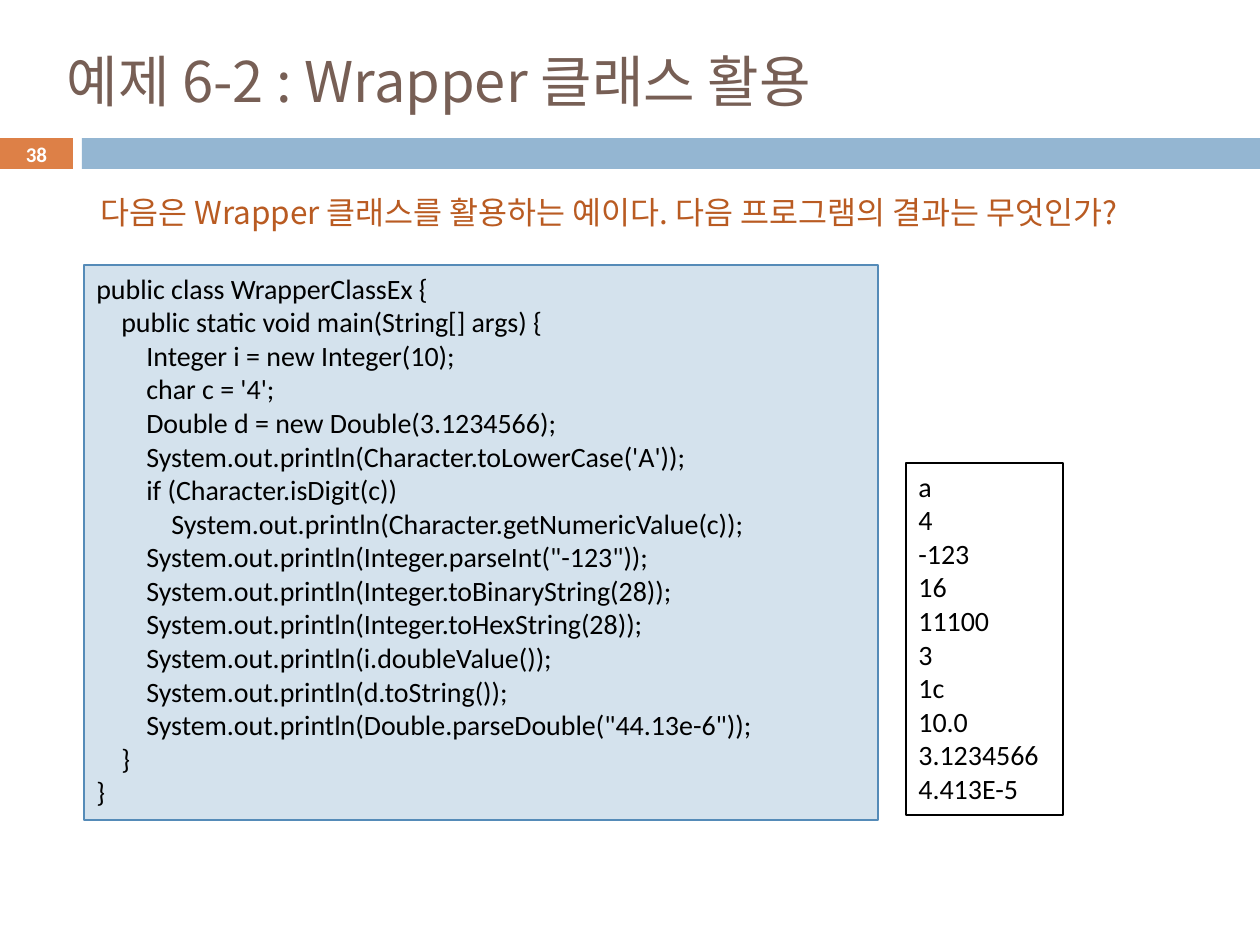
from typing import NamedTuple, Optional

from lxml import etree
from pptx import Presentation
from pptx import util as u
from pptx.dml.color import RGBColor
from pptx.enum import shapes, text
from pptx.oxml import ns

PX = u.Inches(1) / 126  # one px in EMU
TAB_STEP = 25  # px per code indent level

LATIN_FONT = "Calibri"
KOREAN_FONT = "Noto Sans CJK KR"

ORANGE = RGBColor(0xDD, 0x80, 0x47)
BLUE = RGBColor(0x94, 0xB6, 0xD2)
PALE_BLUE = RGBColor(0xD4, 0xE2, 0xED)
DARK_BLUE = RGBColor(0x55, 0x8B, 0xB8)
BROWN = RGBColor(0x77, 0x5F, 0x55)
RUST = RGBColor(0xB9, 0x5B, 0x22)
BLACK = RGBColor(0x00, 0x00, 0x00)
WHITE = RGBColor(0xFF, 0xFF, 0xFF)

CODE = """public class WrapperClassEx {
\tpublic static void main(String[] args) {
\t\tInteger i = new Integer(10);
\t\tchar c = '4';
\t\tDouble d = new Double(3.1234566);
\t\tSystem.out.println(Character.toLowerCase('A'));
\t\tif (Character.isDigit(c))
\t\t\tSystem.out.println(Character.getNumericValue(c));
\t\tSystem.out.println(Integer.parseInt("-123"));
\t\tSystem.out.println(Integer.toBinaryString(28));
\t\tSystem.out.println(Integer.toHexString(28));
\t\tSystem.out.println(i.doubleValue());
\t\tSystem.out.println(d.toString());
\t\tSystem.out.println(Double.parseDouble("44.13e-6"));
\t}
}"""
OUTPUT = "a\n4\n-123\n16\n11100\n3\n1c\n10.0\n3.1234566\n4.413E-5"


class Area(NamedTuple):
    left: int
    top: int
    width: int
    height: int


class Style(NamedTuple):
    size: float
    color: RGBColor
    font: str = LATIN_FONT
    bold: bool = False
    align: text.PP_ALIGN = text.PP_ALIGN.LEFT
    anchor: text.MSO_ANCHOR = text.MSO_ANCHOR.TOP
    wrap: bool = True


class Panel(NamedTuple):
    area: Area
    fill: Optional[RGBColor] = None
    line: Optional[RGBColor] = None
    words: str = ""
    style: Optional[Style] = None


def px(length: int) -> u.Emu:
    return u.Emu(round(length * PX))


def write(shape, words: str, style: Style) -> None:
    frame = shape.text_frame
    frame.text = words
    frame.word_wrap = style.wrap
    frame.vertical_anchor = style.anchor
    for para in frame.paragraphs:
        para.alignment = style.align
        for span in para.runs:
            font = span.font
            font.name, font.size, font.bold = style.font, u.Pt(style.size), style.bold
            font.color.rgb = style.color
            east_asian = etree.Element(ns.qn("a:ea"), typeface=style.font)
            font._element.find(ns.qn("a:latin")).addnext(east_asian)


def add_panel(page, panel: Panel):
    box = page.shapes.add_shape(shapes.MSO_SHAPE.RECTANGLE, *map(px, panel.area))
    box.shadow.inherit = False
    if panel.fill is None:
        box.fill.background()
    else:
        box.fill.solid()
        box.fill.fore_color.rgb = panel.fill
    if panel.line is None:
        box.line.fill.background()
    else:
        box.line.color.rgb = panel.line
        box.line.width = u.Pt(0.75)
    if panel.style:
        write(box, panel.words, panel.style)
    return box


def add_label(page, area: Area, words: str, style: Style) -> None:
    write(page.shapes.add_textbox(*map(px, area)), words, style)


def set_tab_stops(box) -> None:
    for para in box.text_frame.paragraphs:
        stops = etree.SubElement(para._p.get_or_add_pPr(), ns.qn("a:tabLst"))
        for level in range(1, 4):
            etree.SubElement(stops, ns.qn("a:tab"), pos=str(px(level * TAB_STEP)), algn="l")


def main() -> None:
    deck = Presentation()
    deck.slide_width, deck.slide_height = px(1260), px(945)
    page = deck.slides.add_slide(deck.slide_layouts[5])
    middle = text.MSO_ANCHOR.MIDDLE

    # Title
    title = page.shapes.title
    title.left, title.top, title.width, title.height = map(px, Area(54, 32, 1191, 97))
    write(title, "예제 6-2 : Wrapper 클래스 활용",
          Style(32, BROWN, KOREAN_FONT, anchor=middle))

    # Band with the page number
    add_panel(page, Panel(Area(0, 138, 73, 31), fill=ORANGE))
    add_panel(page, Panel(Area(82, 138, 1178, 31), fill=BLUE))
    add_label(page, Area(0, 137, 73, 34), "38",
              Style(12, WHITE, bold=True, align=text.PP_ALIGN.CENTER, anchor=middle))

    # Question
    add_label(page, Area(88, 187, 1138, 50),
              "다음은 Wrapper 클래스를 활용하는 예이다. 다음 프로그램의 결과는 무엇인가?",
              Style(18, RUST, KOREAN_FONT, wrap=False))

    # Program and its output
    listing = add_panel(page, Panel(Area(84, 265, 794, 555), PALE_BLUE, DARK_BLUE,
                                    CODE, Style(16, BLACK)))
    set_tab_stops(listing)
    add_panel(page, Panel(Area(906, 463, 157, 352), None, BLACK,
                          OUTPUT, Style(16, BLACK, wrap=False)))

    deck.save("out.pptx")


if __name__ == "__main__":
    main()
